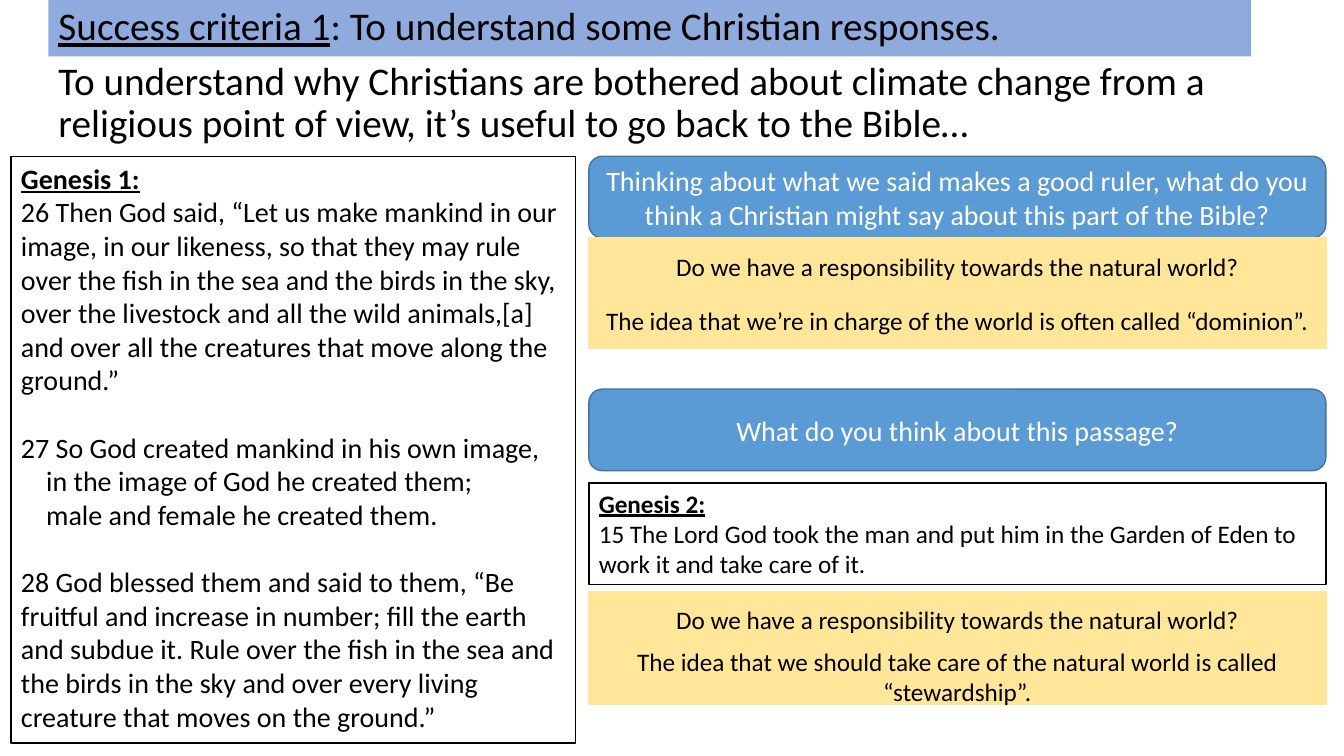
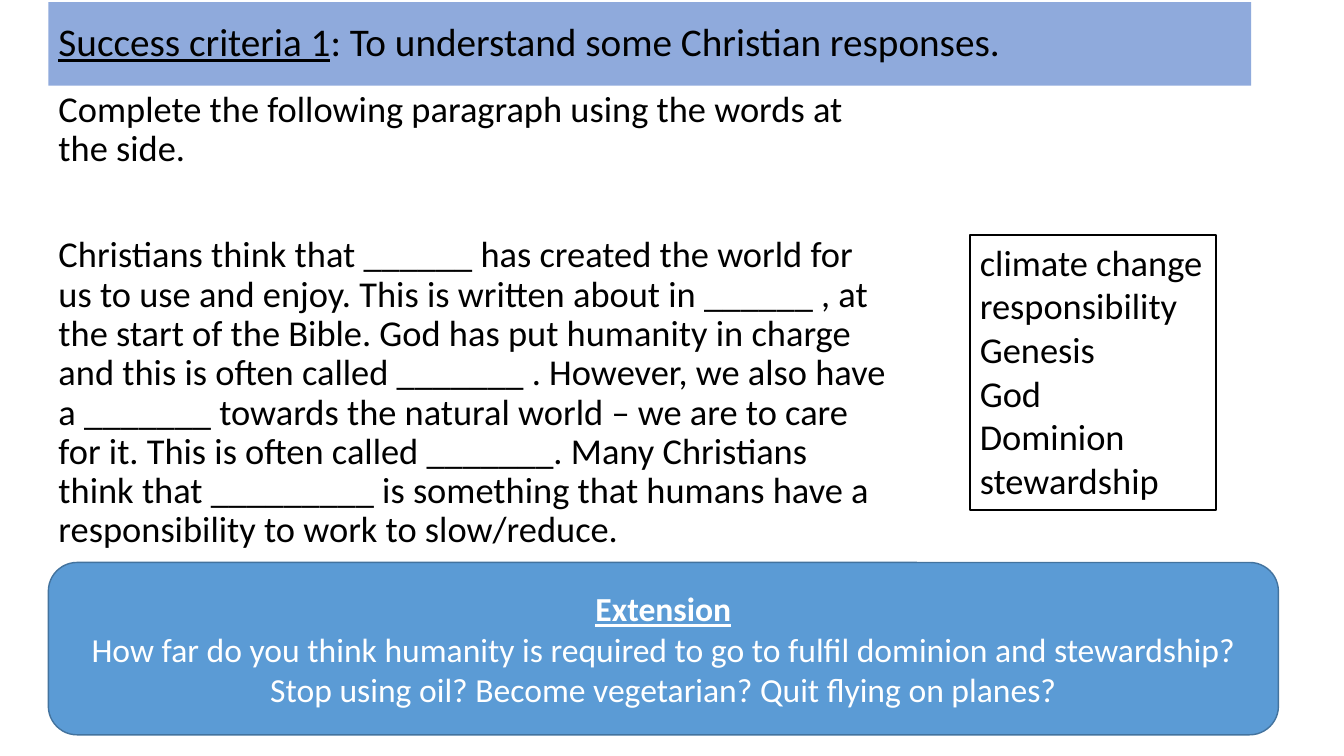
from lxml.etree import SubElement
from pptx import Presentation
from pptx.dml.color import RGBColor
from pptx.enum.shapes import MSO_SHAPE as Preset
from pptx.enum.text import MSO_ANCHOR as Anchor, MSO_AUTO_SIZE as AutoSize, PP_ALIGN as Align
from pptx.oxml.ns import qn
from pptx.util import Pt

PX = 9144  # EMU in one px, 100 px to the inch
FONT = "Calibri"
COLOURS = {
    "band": "8FAADC",
    "question": "5B9BD5",
    "question_edge": "43739E",
    "answer": "FFE699",
    "black": "000000",
    "white": "FFFFFF",
}
MARGIN = 48
BAND_WIDTH = 1193
COLUMN_LEFT, COLUMN_WIDTH = 584, 731
QUESTION_HEIGHT, ANSWER_HEIGHT = 81, 56
RESPONSIBILITY = "Do we have a responsibility towards the natural world?"


def colour(name):
    return RGBColor.from_string(COLOURS[name])


def emu(*lengths):
    return [length * PX for length in lengths]


# Text
def format_span(span, size, ink="black"):
    span.font.name = FONT
    span.font.size = Pt(size)
    span.font.color.rgb = colour(ink)


def write(box, lines, size, ink="black", align=Align.LEFT, heading=False):
    """Write one paragraph a line; a heading is the first line, bold and underlined."""
    frame = box.text_frame
    frame.word_wrap = True
    frame.text = "\n".join(lines)
    for para in frame.paragraphs:
        para.alignment = align
        for span in para.runs:
            format_span(span, size, ink)
    if heading:
        font = frame.paragraphs[0].runs[0].font
        font.bold = font.underline = True
    return frame.paragraphs


# Placeholders
def place(shape, left, top, width, height):
    shape.left, shape.top, shape.width, shape.height = emu(left, top, width, height)
    shape.text_frame.auto_size = AutoSize.NONE


def add_page(deck, band_top, band_height):
    page = deck.slides.add_slide(deck.slide_layouts[1])
    title = page.shapes.title
    place(title, MARGIN, band_top, BAND_WIDTH, band_height)
    title.fill.solid()
    title.fill.fore_color.rgb = colour("band")
    title.text_frame.vertical_anchor = Anchor.MIDDLE
    para = title.text_frame.paragraphs[0]
    para.alignment = Align.LEFT
    para.line_spacing = 0.9
    for text, underline in (("Success criteria 1", True),
                            (": To understand some Christian responses.", False)):
        span = para.add_run()
        span.text = text
        format_span(span, 28)
        span.font.underline = underline
    return page


def fill_body(page, bounds, lines, size, gap=0):
    body = page.placeholders[1]
    place(body, *bounds)
    for index, para in enumerate(write(body, lines, size)):
        properties = para._p.get_or_add_pPr()
        properties.set("marL", "0")
        properties.set("indent", "0")
        SubElement(properties, qn("a:buNone"))
        para.line_spacing = 0.9
        para.space_before = Pt(gap if index else 0)


# Boxes
def add_panel(page, preset, bounds, fill, edge, lines, size, ink, heading=False):
    panel = page.shapes.add_shape(preset, *emu(*bounds))
    panel.shadow.inherit = False
    panel.fill.solid()
    panel.fill.fore_color.rgb = colour(fill)
    panel.line.color.rgb = colour(edge)
    panel.line.width = Pt(1)
    panel.text_frame.vertical_anchor = Anchor.MIDDLE
    write(panel, lines, size, ink, Align.CENTER, heading)


def add_question(page, bounds, lines, size=20, heading=False):
    add_panel(page, Preset.ROUNDED_RECTANGLE, bounds, "question", "question_edge",
              lines, size, "white", heading)


def add_answer(page, top, text):
    add_panel(page, Preset.RECTANGLE, (COLUMN_LEFT, top, COLUMN_WIDTH, ANSWER_HEIGHT),
              "answer", "answer", [text], 18, "black")


def add_framed_text(page, bounds, lines, size, heading=False):
    box = page.shapes.add_textbox(*emu(*bounds))
    box.line.color.rgb = colour("black")
    box.line.width = Pt(1)
    paras = write(box, lines, size, heading=heading)
    box.text_frame.auto_size = AutoSize.SHAPE_TO_FIT_TEXT
    return paras


# Slides
def build_bible_page(deck):
    page = add_page(deck, 0, 56)
    fill_body(page, (MARGIN, 56, BAND_WIDTH, 124), [
        "To understand why Christians are bothered about climate change from a religious "
        "point of view, it’s useful to go back to the Bible…"], 28)

    verses = add_framed_text(page, (11, 155, 560, 582), [
        "Genesis 1:",
        "26 Then God said, “Let us make mankind in our image, in our likeness, so that they "
        "may rule over the fish in the sea and the birds in the sky, over the livestock and "
        "all the wild animals,[a] and over all the creatures that move along the ground.”",
        "27 So God created mankind in his own image,",
        "in the image of God he created them;",
        "male and female he created them.",
        "28 God blessed them and said to them, “Be fruitful and increase in number; fill the "
        "earth and subdue it. Rule over the fish in the sea and the birds in the sky and over "
        "every living creature that moves on the ground.”",
    ], 20, heading=True)
    for index in (2, 5):
        verses[index].space_before = Pt(24)
    for index in (3, 4):
        verses[index]._p.get_or_add_pPr().set("marL", str(25 * PX))

    for top, text in (
        (155, "Thinking about what we said makes a good ruler, what do you think a Christian "
              "might say about this part of the Bible?"),
        (386, "What do you think about this passage?"),
    ):
        add_question(page, (COLUMN_LEFT, top, COLUMN_WIDTH, QUESTION_HEIGHT), [text])
    for top, text in (
        (236, RESPONSIBILITY),
        (290, "The idea that we’re in charge of the world is often called “dominion”."),
        (587, RESPONSIBILITY),
        (643, "The idea that we should take care of the natural world is called “stewardship”."),
    ):
        add_answer(page, top, text)
    add_framed_text(page, (COLUMN_LEFT, 479, COLUMN_WIDTH, 101), [
        "Genesis 2:",
        "15 The Lord God took the man and put him in the Garden of Eden to work it and take "
        "care of it.",
    ], 18, heading=True)


def build_paragraph_page(deck):
    page = add_page(deck, 2, 83)
    fill_body(page, (MARGIN, 85, 845, 474), [
        "Complete the following paragraph using the words at the side.",
        "Christians think that ______ has created the world for us to use and enjoy. This is "
        "written about in ______ , at the start of the Bible. God has put humanity in charge "
        "and this is often called _______ . However, we also have a _______ towards the "
        "natural world – we are to care for it. This is often called _______. Many Christians "
        "think that _________ is something that humans have a responsibility to work to "
        "slow/reduce.",
    ], 26, gap=48)
    add_framed_text(page, (962, 233, 244, 273), [
        "climate change responsibility", "Genesis", "God", "Dominion", "stewardship"], 26)
    add_question(page, (MARGIN, 558, 1220, 171), [
        "Extension",
        "How far do you think humanity is required to go to fulfil dominion and stewardship?",
        "Stop using oil? Become vegetarian? Quit flying on planes?",
    ], 24, heading=True)


def main():
    deck = Presentation()
    deck.slide_width, deck.slide_height = emu(1333, 750)
    build_bible_page(deck)
    build_paragraph_page(deck)
    deck.save("out.pptx")


if __name__ == "__main__":
    main()
